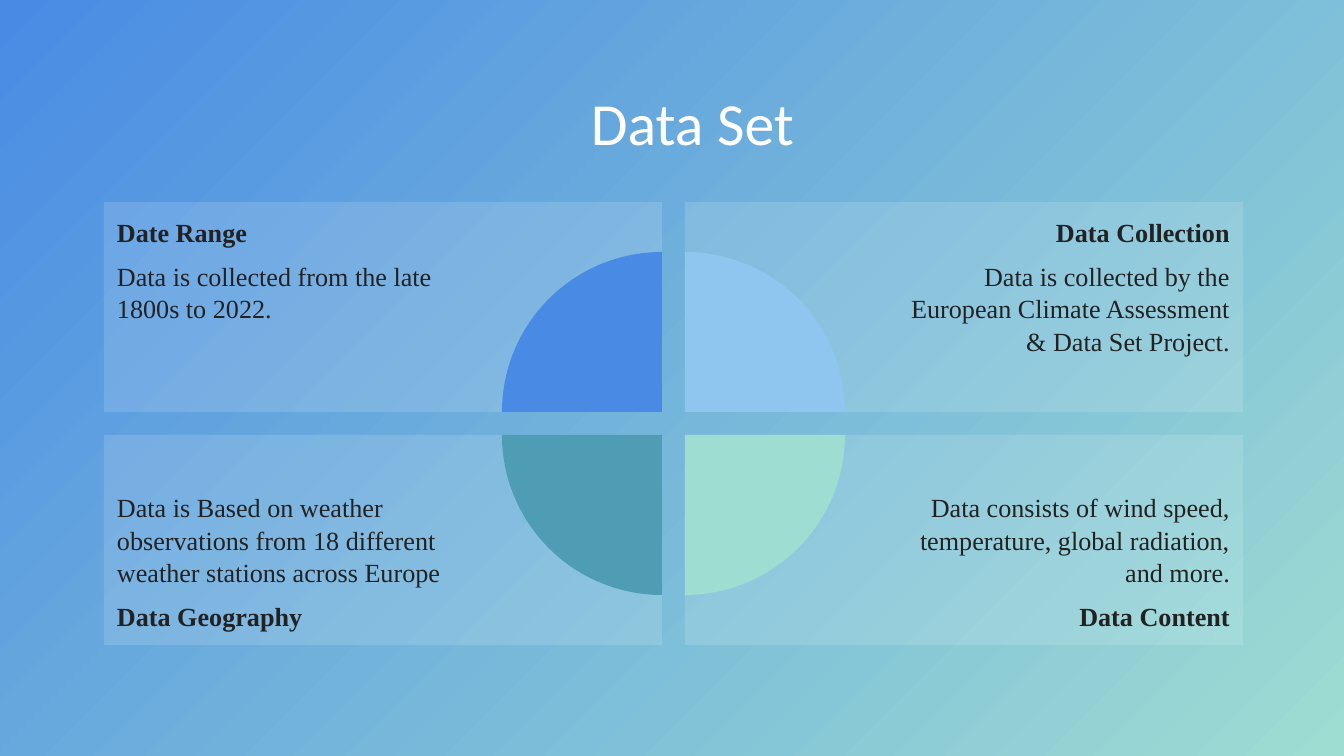
from lxml import etree
from pptx import Presentation
from pptx import util as u
from pptx.dml.color import RGBColor
from pptx.enum import shapes, text
from pptx.oxml.ns import qn

SCALE = 914400 / 134.4
LEFT, TOP = 104, 202
CARD_W, CARD_H = 558, 210
GAP = 23
RADIUS = 160
PAD, INNER = 13, 202

# column, row, paragraphs, index of the heading, pie colour, pie rotation
CARDS = [
    (0, 0, ["Date Range", "Data is collected from the late 1800s to 2022."],
     0, "498BE4", 0),
    (1, 0, ["Data Collection", "Data is collected by the European Climate "
            "Assessment & Data Set Project."], 0, "8FC6EF", 90),
    (1, 1, ["Data consists of wind speed, temperature, global radiation, "
            "and more.", "Data Content"], 1, "9DDDD2", 180),
    (0, 1, ["Data is Based on weather observations from 18 different "
            "weather stations across Europe", "Data Geography"],
     1, "4F9CB5", 270),
]


def px(n):
    return u.Emu(round(n * SCALE))


def rgb(code):
    return RGBColor.from_string(code)


def paint(slide):
    """Fill the background with a diagonal gradient."""
    fill = slide.background.fill
    fill.gradient()
    fill.gradient_angle = 315
    for stop, code in zip(fill.gradient_stops, ("498BE4", "9DDDD2")):
        stop.color.rgb = rgb(code)


def add_form(slide, kind, x, y, w, h, code):
    form = slide.shapes.add_shape(kind, px(x), px(y), px(w), px(h))
    form.shadow.inherit = False
    form.fill.solid()
    form.fill.fore_color.rgb = rgb(code)
    form.line.fill.background()
    return form


def fade(form, percent):
    """Set the opacity of a solid fill."""
    color = form.fill._xPr.find(qn("a:solidFill"))[0]
    etree.SubElement(color, qn("a:alpha")).set("val", str(percent * 1000))


def set_font(par, name, size, code, bold=False):
    for run in par.runs:
        run.font.name = name
        run.font.size = u.Pt(size)
        run.font.bold = bold
        run.font.color.rgb = rgb(code)


def add_card(slide, col, row, lines, head):
    x = LEFT + col * (CARD_W + GAP)
    y = TOP + row * (CARD_H + GAP)
    card = add_form(slide, shapes.MSO_SHAPE.RECTANGLE,
                    x, y, CARD_W, CARD_H, "FFFFFF")
    fade(card, 14)
    frame = card.text_frame
    frame.word_wrap = True
    frame.vertical_anchor = (text.MSO_ANCHOR.BOTTOM if row
                             else text.MSO_ANCHOR.TOP)
    frame.margin_left = px(INNER if col else PAD)
    frame.margin_right = px(PAD if col else INNER)
    frame.margin_top = frame.margin_bottom = px(PAD)
    frame.text = "\n".join(lines)
    for i, par in enumerate(frame.paragraphs):
        par.alignment = text.PP_ALIGN.RIGHT if col else text.PP_ALIGN.LEFT
        par.line_spacing = 1.04
        if i:
            par.space_before = par.space_after = u.Pt(6)
        set_font(par, "Times New Roman", 14, "222222", i == head)


def add_pie(slide, col, row, code, turn):
    """Put a quarter disc in the inner corner of a card."""
    x = LEFT + CARD_W + col * GAP - RADIUS
    y = TOP + CARD_H + row * GAP - RADIUS
    pie = add_form(slide, shapes.MSO_SHAPE.PIE,
                   x, y, 2 * RADIUS, 2 * RADIUS, code)
    pie.adjustments[0] = 108
    pie.adjustments[1] = 162
    pie.rotation = turn


def add_title(slide, words):
    box = slide.shapes.add_textbox(px(108), px(31), px(1169), px(126))
    frame = box.text_frame
    frame.word_wrap = True
    frame.vertical_anchor = text.MSO_ANCHOR.BOTTOM
    frame.margin_left = frame.margin_right = 0
    frame.margin_top = frame.margin_bottom = 0
    frame.text = words
    par = frame.paragraphs[0]
    par.alignment = text.PP_ALIGN.CENTER
    set_font(par, "Calibri", 32, "FFFFFF")


def main():
    deck = Presentation()
    deck.slide_width, deck.slide_height = px(1344), px(756)
    slide = deck.slides.add_slide(deck.slide_layouts[6])
    paint(slide)
    for col, row, lines, head, _, _ in CARDS:
        add_card(slide, col, row, lines, head)
    for col, row, _, _, code, turn in CARDS:
        add_pie(slide, col, row, code, turn)
    add_title(slide, "Data Set")
    deck.save("out.pptx")


if __name__ == "__main__":
    main()
